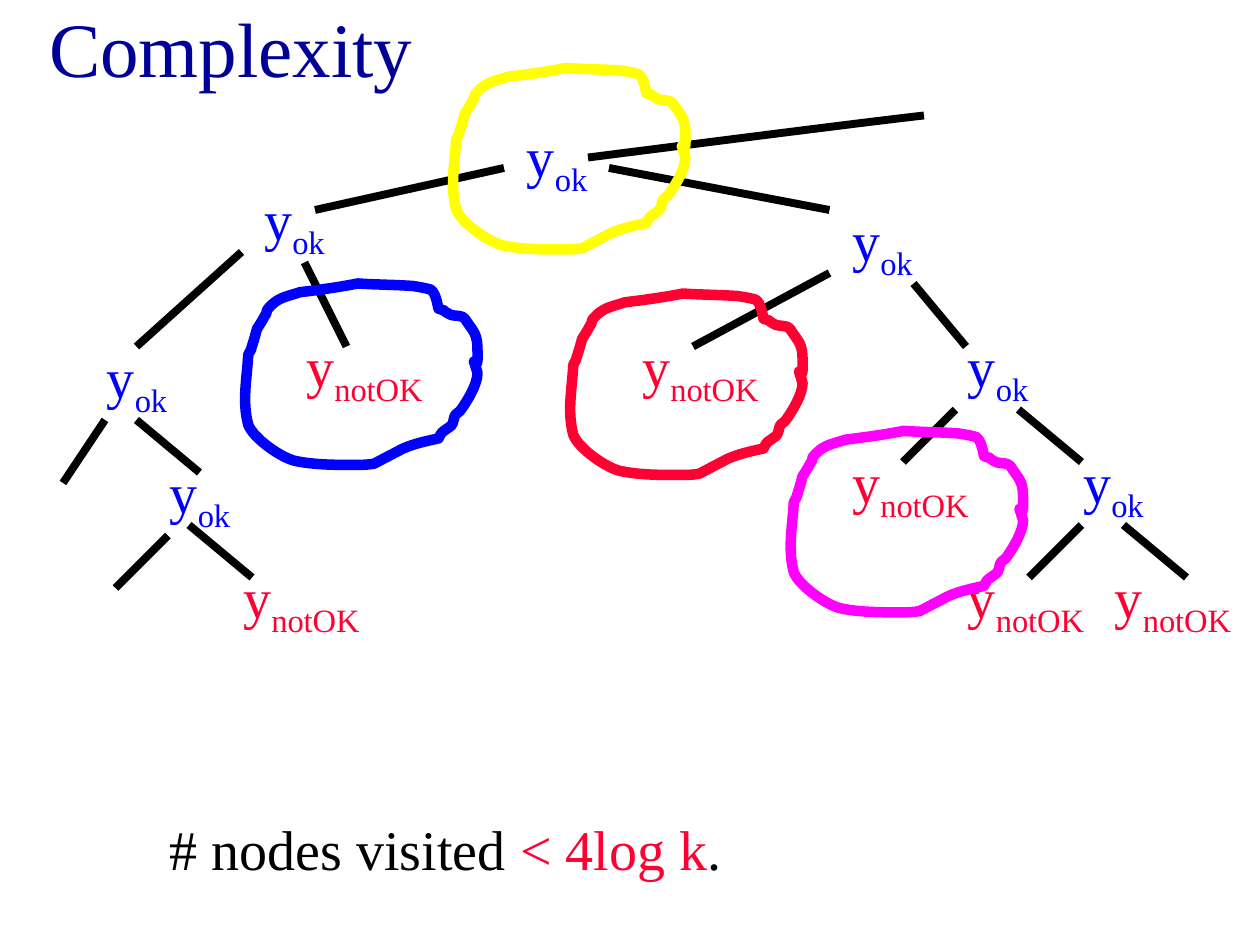
from lxml import etree
from pptx import Presentation
from pptx import util as u
from pptx.dml.color import RGBColor
from pptx.enum import shapes, text
from pptx.oxml.ns import qn

FONT = "Times New Roman"
COLORS = {"navy": "000099", "blue": "0000FF", "red": "FF0033", "black": "000000",
          "white": "FFFFFF", "yellow": "FFFF00", "magenta": "FF00FF"}
COLS, ROWS = 120, 90  # slide grid

TITLE = "Complexity"
STATEMENT = [("# nodes visited ", "black"), ("< 4log k", "red"), (".", "black")]

# Node kind: subscript, colour, width in columns
KINDS = {"ok": ("blue", 12), "notOK": ("red", 15)}
# Column and row of each node, by kind
NODES = {
    "ok": [(49, 11), (24, 17), (9, 32), (15, 43), (80, 19), (91, 31), (102, 42)],
    "notOK": [(22, 53), (28, 31), (60, 31), (80, 42), (91, 53), (105, 53)],
}
# Tree edges: start column and row, end column and row
EDGES = [
    (48, 16, 30, 20), (58, 16, 79, 20), (23, 24, 13, 33), (29, 25, 33, 33),
    (87, 27, 92, 33), (79, 26, 66, 33), (13, 40, 19, 45), (10, 40, 6, 46),
    (18, 50, 24, 55), (16, 51, 11, 56), (97, 39, 103, 44), (91, 39, 86, 44),
    (107, 50, 113, 55), (103, 50, 98, 55),
]
# Start, two control points, end
LONG_BRANCH = [(56, 15), (69.4, 13.3), (82.7, 11.6), (88, 11)]

# Hand-drawn loops: left and top in inches
LOOPS = [("yellow", 3.57, 0.54), ("blue", 1.92, 2.25),
         ("red", 4.5, 2.33), ("magenta", 6.25, 3.42)]
# Loop outline in hundredths of an inch: start, then per curve two controls and the end
LOOP = [
    (5, 57),
    (4, 76), (0, 93), (5, 112), (9, 123), (32, 139), (43, 141),
    (58, 144), (74, 144), (89, 144), (94, 144), (100, 144), (105, 143),
    (105, 143), (124, 133), (128, 131), (137, 127), (147, 125), (156, 123),
    (157, 121), (158, 119), (159, 118), (161, 116), (164, 115), (166, 113),
    (168, 111), (168, 107), (169, 105), (170, 103), (173, 102), (174, 100),
    (179, 93), (187, 80), (187, 71), (180, 48), (188, 78), (187, 54),
    (187, 39), (184, 39), (177, 28), (175, 25), (169, 26), (166, 25),
    (154, 19), (168, 24), (156, 20), (155, 16), (154, 8), (150, 5),
    (148, 4), (136, 2), (135, 2), (121, 1), (106, 1), (92, 0),
    (77, 3), (62, 5), (46, 7), (34, 11), (28, 11), (20, 21),
    (20, 23), (19, 25), (18, 26), (16, 30), (12, 36), (12, 36),
    (9, 47), (11, 40), (7, 53), (6, 54), (5, 57), (5, 57),
]

prs = Presentation()
prs.slide_width, prs.slide_height = u.Inches(10), u.Inches(7.5)
s = prs.slides.add_slide(prs.slide_layouts[5])


def x(col):
    return round(prs.slide_width * col / COLS)


def y(row):
    return round(prs.slide_height * row / ROWS)


def rgb(name):
    return RGBColor.from_string(COLORS[name])


def add_run(p, content, color, size=32):
    r = p.add_run()
    r.text = content
    r.font.name, r.font.size = FONT, u.Pt(size)
    r.font.color.rgb = rgb(color)
    return r


def style_line(sp, color, width):
    sp.line.color.rgb = rgb(color)
    sp.line.width = u.Pt(width)


def curve(parent, points, color, width, close):
    """Draw an unfilled freeform of cubic curves; points are in EMU."""
    fb = parent.build_freeform(*points[0])
    fb.add_line_segments(points[1:], close=close)
    sp = fb.convert_to_shape()
    # Turn every three line segments into one cubic curve
    segments = list(sp._element.iter(qn("a:lnTo")))
    for i in range(0, len(segments), 3):
        cubic = etree.Element(qn("a:cubicBezTo"))
        segments[i].addprevious(cubic)
        for segment in segments[i:i + 3]:
            cubic.append(segment[0])
            segment.getparent().remove(segment)
    sp.fill.background()
    sp.shadow.inherit = False
    style_line(sp, color, width)


# Title
title = s.shapes.title
title.left, title.top, title.width, title.height = x(-29), y(0.9), x(102), y(7)
tf = title.text_frame
tf.vertical_anchor = text.MSO_ANCHOR.MIDDLE
tf.paragraphs[0].alignment = text.PP_ALIGN.CENTER
add_run(tf.paragraphs[0], TITLE, "navy", 44)

# Tree: edges, then nodes
tree = s.shapes.add_group_shape().shapes
for c1, r1, c2, r2 in EDGES:
    edge = tree.add_connector(shapes.MSO_CONNECTOR.STRAIGHT, x(c1), y(r1), x(c2), y(r2))
    style_line(edge, "black", 4.5)
    etree.SubElement(edge._element.spPr, qn("a:effectLst"))
for kind, places in NODES.items():
    color, width = KINDS[kind]
    for col, row in places:
        tf = tree.add_textbox(x(col), y(row), x(width), y(8.5)).text_frame
        tf.word_wrap = True
        add_run(tf.paragraphs[0], "y", color)
        sub = add_run(tf.paragraphs[0], kind, color)
        sub.font._element.set("baseline", "-25000")
curve(tree, [(x(c), y(r)) for c, r in LONG_BRANCH], "black", 4.5, close=False)

# Statement
box = s.shapes.add_shape(shapes.MSO_SHAPE.RECTANGLE, x(15), y(77), x(59), y(7.7))
box.shadow.inherit = False
box.fill.solid()
box.fill.fore_color.rgb = rgb("white")
box.line.fill.background()
tf = box.text_frame
tf.word_wrap = True
tf.vertical_anchor = text.MSO_ANCHOR.TOP
tf.paragraphs[0].alignment = text.PP_ALIGN.LEFT
for content, color in STATEMENT:
    add_run(tf.paragraphs[0], content, color)

# Loops around the visited nodes
for color, left, top in LOOPS:
    points = [(u.Inches(left + px / 100), u.Inches(top + py / 100)) for px, py in LOOP]
    curve(s.shapes, points, color, 6, close=True)

prs.save("out.pptx")
